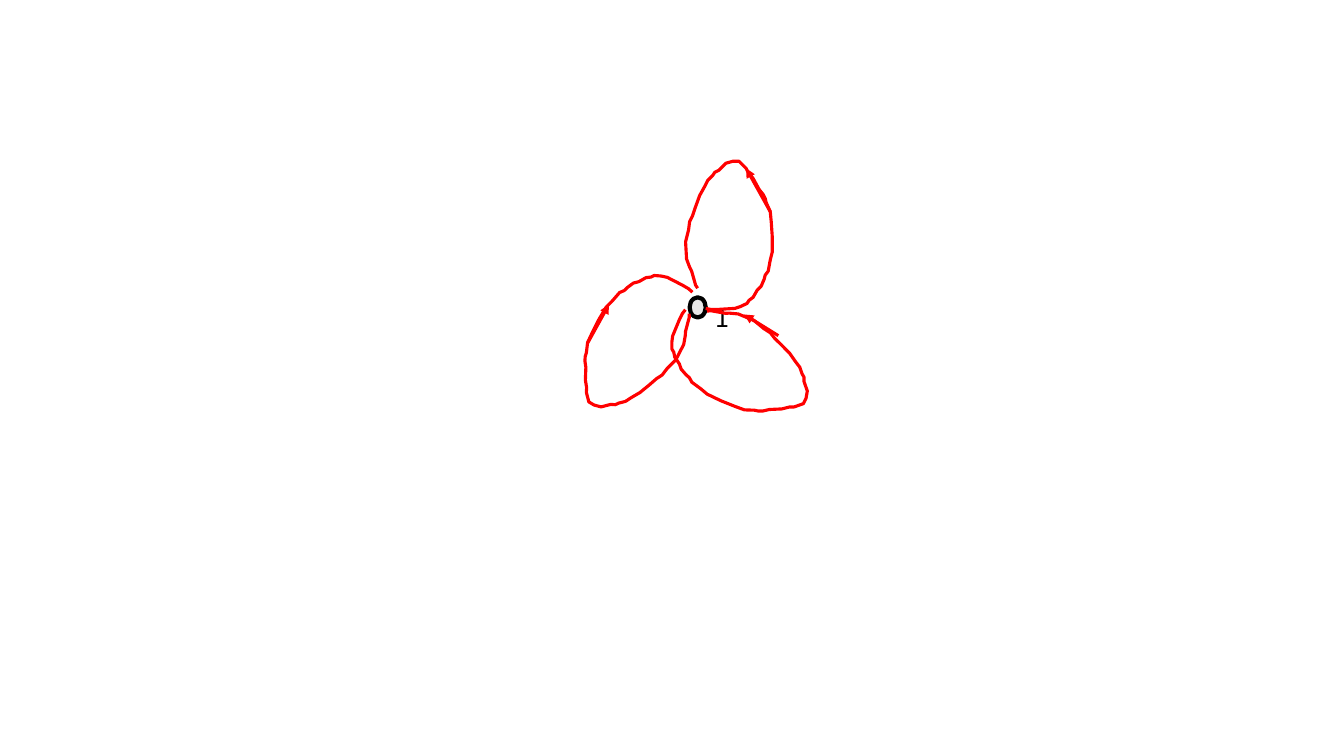
from dataclasses import dataclass
from lxml import etree
from pptx import Presentation, util as u
from pptx.dml.color import RGBColor
from pptx.enum import shapes, text
from pptx.oxml import ns


@dataclass
class Theme:
    font: str = "Noto Sans CJK SC"
    label_size: int = 18
    black: RGBColor = RGBColor.from_string("000000")
    node: RGBColor = RGBColor.from_string("E7E6E6")
    red: RGBColor = RGBColor.from_string("FF0000")
    node_line: float = 3
    loop_line: float = 2.25


theme = Theme()


def set_line(sp, color, width):
    sp.line.color.rgb = color
    sp.line.width = u.Pt(width)


prs = Presentation()
prs.slide_width, prs.slide_height = u.Inches(13.33), u.Inches(7.5)
s = prs.slides.add_slide(prs.slide_layouts[6])

node = s.shapes.add_shape(shapes.MSO_SHAPE.OVAL, u.Inches(6.84), u.Inches(2.95),
                          u.Inches(0.16), u.Inches(0.2))
node.shadow.inherit = False
node.fill.solid()
node.fill.fore_color.rgb = theme.node
set_line(node, theme.black, theme.node_line)

label = s.shapes.add_textbox(u.Inches(7), u.Inches(2.95), u.Inches(0.34), u.Inches(0.4))
tf = label.text_frame
tf.word_wrap = False
tf.auto_size = text.MSO_AUTO_SIZE.SHAPE_TO_FIT_TEXT
r = tf.paragraphs[0].add_run()
r.text = "1"
r.font.name = theme.font
r.font.size = u.Pt(theme.label_size)
r.font.color.rgb = theme.black

petal = [
    (700, 306), (705, 307), (712, 307), (729, 306), (735, 304), (741, 301),
    (743, 298), (747, 295), (751, 288), (755, 284), (758, 277), (759, 273),
    (762, 269), (764, 258), (766, 250), (766, 235), (765, 220), (764, 210),
    (760, 201), (759, 197), (757, 193), (753, 188), (747, 177), (742, 171),
    (740, 167), (733, 160), (727, 160), (720, 162), (713, 169), (709, 171),
    (707, 174), (702, 179), (699, 185), (694, 194), (690, 205), (687, 214),
    (684, 220), (683, 228), (680, 240), (681, 257), (684, 265), (686, 269),
    (688, 276), (690, 283), (692, 286),
]
for left, top, angle in [(6.8, 1.6, 0), (5.87, 2.67, 210.6), (6.92, 2.86, 115.8)]:
    fb = s.shapes.build_freeform(*petal[0], scale=u.Inches(0.01))
    fb.add_line_segments(petal[1:], close=False)
    sp = fb.convert_to_shape()
    sp.left, sp.top, sp.rotation = u.Inches(left), u.Inches(top), angle
    sp.shadow.inherit = False
    sp.fill.background()
    set_line(sp, theme.red, theme.loop_line)

for ends in [(7.64, 2.1, 7.4, 1.67), (5.83, 3.4, 6.04, 3.02), (7.72, 3.33, 7.38, 3.12)]:
    arrow = s.shapes.add_connector(shapes.MSO_CONNECTOR.STRAIGHT, *map(u.Inches, ends))
    set_line(arrow, theme.red, theme.loop_line)
    etree.SubElement(arrow.line._get_or_add_ln(), ns.qn("a:tailEnd"), type="triangle")
    etree.SubElement(arrow._element.spPr, ns.qn("a:effectLst"))

prs.save("out.pptx")
